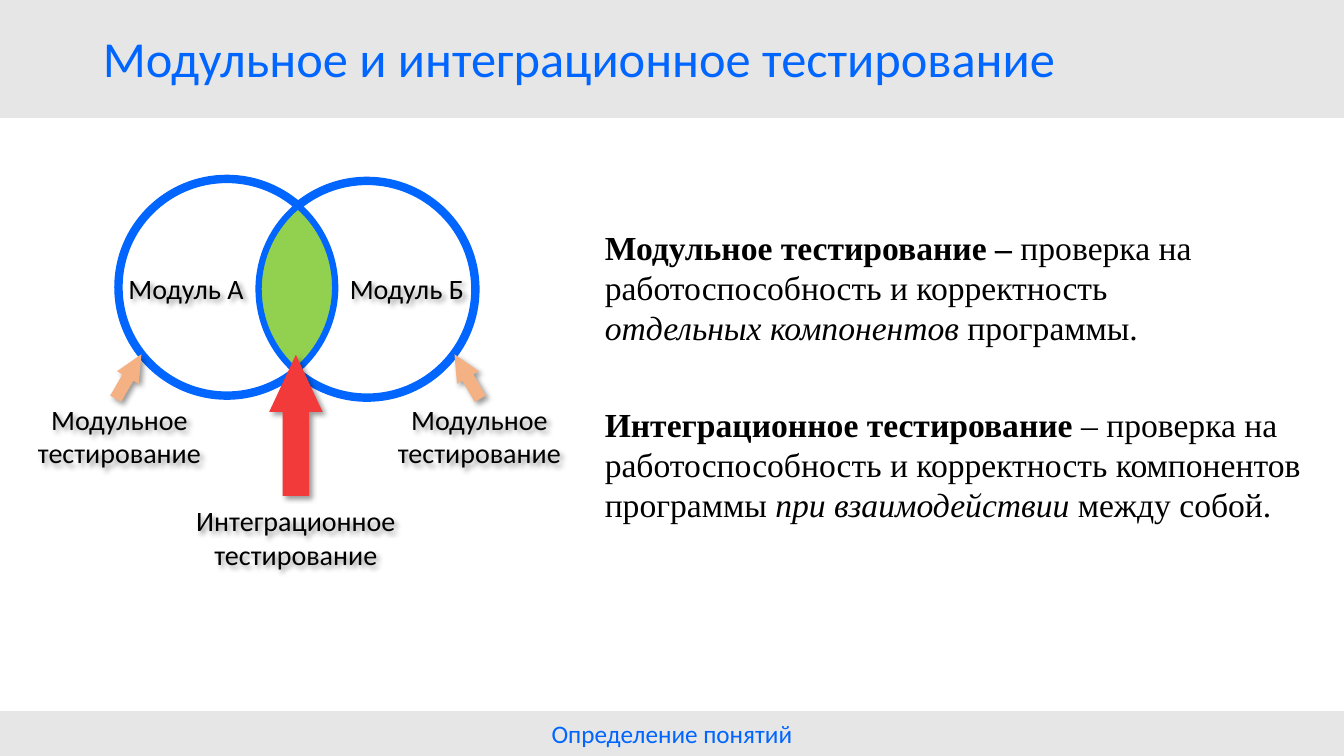
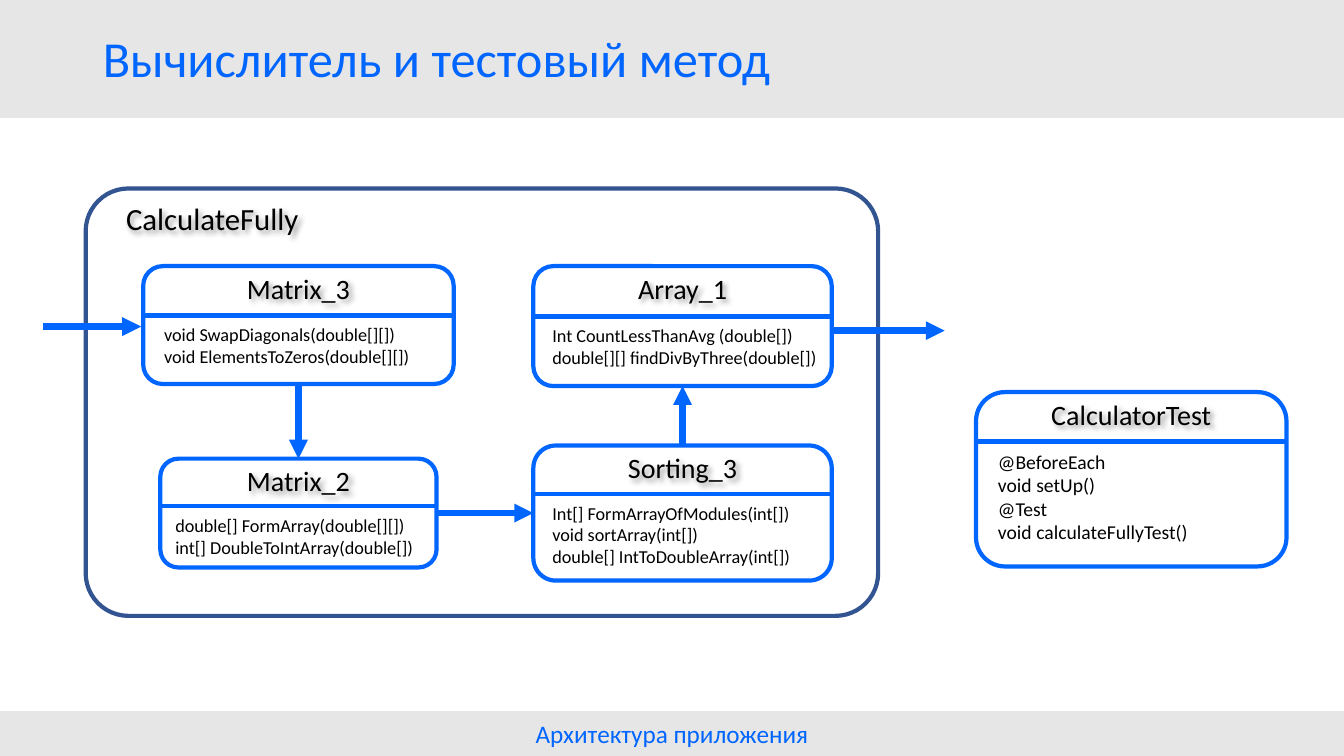
import math
from lxml import etree
from pptx import Presentation
from pptx import util as u
from pptx.dml.color import RGBColor
from pptx.enum import shapes, text
from pptx.oxml import parse_xml
from pptx.oxml.ns import qn

BLUE, GREY, WHITE, BLACK = "0066FF", "E7E6E6", "FFFFFF", "000000"
NAVY, GREEN, RED, PEACH = "325491", "92D050", "F23A3A", "F4B183"
SANS, SERIF = "Calibri", "Times New Roman"
KIND = shapes.MSO_SHAPE
MID = text.PP_ALIGN.CENTER
NS = "http://schemas.openxmlformats.org/drawingml/2006/main"
SHADOW = (f'<a:effectLst xmlns:a="{NS}"><a:outerShdw blurRad="50800" dist="38100" '
          'dir="2700000" algn="tl" rotWithShape="0"><a:srgbClr val="000000">'
          '<a:alpha val="40000"/></a:srgbClr></a:outerShdw></a:effectLst>')


def px(n):
    """100 px to the inch."""
    return u.Emu(round(n * 9144))


def rgb(code):
    return RGBColor.from_string(code)


# Basic elements
def shade(shape):
    shape.shadow.inherit = False
    effect = shape.element.spPr.find(qn("a:effectLst"))
    effect.getparent().replace(effect, parse_xml(SHADOW))


def style(shape, fill, edge=None, width=1):
    shape.shadow.inherit = False
    shape.fill.solid()
    shape.fill.fore_color.rgb = rgb(fill)
    if edge:
        shape.line.color.rgb = rgb(edge)
        shape.line.width = u.Pt(width)
    else:
        shape.line.fill.background()


def block(slide, kind, x, y, w, h, fill, edge=None, width=1):
    shape = slide.shapes.add_shape(kind, px(x), px(y), px(w), px(h))
    style(shape, fill, edge, width)
    return shape


def add_run(para, words, size, color=BLACK, face=SANS):
    run = para.add_run()
    run.text = words
    run.font.size = u.Pt(size)
    run.font.color.rgb = rgb(color)
    run.font.name = face
    return run


def text_box(slide, x, y, w, h):
    box = slide.shapes.add_textbox(px(x), px(y), px(w), px(h))
    box.text_frame.word_wrap = True
    return box


def label(slide, words, x, y, w, h, size=20):
    box = text_box(slide, x, y, w, h)
    shade(box)
    para = box.text_frame.paragraphs[0]
    para.alignment = MID
    add_run(para, words, size)


def line(slide, start, end, width, head=False):
    ends = [px(n) for n in (*start, *end)]
    con = slide.shapes.add_connector(shapes.MSO_CONNECTOR.STRAIGHT, *ends)
    con.line.color.rgb = rgb(BLUE)
    con.line.width = u.Pt(width)
    if head:
        con.element.spPr.find(qn("a:ln")).append(
            parse_xml(f'<a:tailEnd xmlns:a="{NS}" type="triangle"/>'))
    con.element.spPr.append(parse_xml(f'<a:effectLst xmlns:a="{NS}"/>'))
    return con


def link(slide, source, out, target, into):
    con = line(slide, (0, 0), (0, 0), 4.5, True)
    con.begin_connect(source, out)
    con.end_connect(target, into)


# Shared frame: bands, title, footer
def page(deck, title, footer):
    slide = deck.slides.add_slide(deck.slide_layouts[5])
    block(slide, KIND.RECTANGLE, 0, 0, 1333, 116, GREY, GREY)
    head = slide.shapes.title
    slide.shapes.element.append(head.element)  # bring above the band
    head.left, head.top, head.width, head.height = px(92), px(2), px(1150), px(117)
    head.text_frame.vertical_anchor = text.MSO_ANCHOR.MIDDLE
    para = head.text_frame.paragraphs[0]
    para.alignment = text.PP_ALIGN.LEFT
    para.line_spacing = 0.9
    add_run(para, title, 36, BLUE)
    foot = block(slide, KIND.RECTANGLE, 0, 706, 1333, 44, GREY, GREY)
    foot.text_frame.vertical_anchor = text.MSO_ANCHOR.MIDDLE
    para = foot.text_frame.paragraphs[0]
    para.alignment = MID
    add_run(para, footer, 18, BLUE)
    return slide


# Overlapping circles
def arc(center, radius, start, end):
    """Curve points of an arc, split at quarter turns."""
    def spot(turn, push=0):
        cos, sin = math.cos(turn), math.sin(turn)
        return (px(center[0] + radius * (cos - push * sin)),
                px(center[1] + radius * (sin + push * cos)))

    quarter = math.pi / 2
    cuts = range(math.ceil(start / quarter), math.ceil(end / quarter))
    turns = [start, *(n * quarter for n in cuts), end]
    points = [spot(start)]
    for a, b in zip(turns, turns[1:]):
        push = 4 / 3 * math.tan((b - a) / 4)
        points += [spot(a, push), spot(b, -push), spot(b)]
    return points


def outline(slide, first, second, fill, width):
    form = slide.shapes.build_freeform(*first[0])
    form.add_line_segments(first[1:] + second[1:], close=True)
    shape = form.convert_to_shape()
    style(shape, fill, BLUE, width)
    # Every three points make one curve
    steps = list(shape.element.iter(qn("a:lnTo")))
    for i in range(0, len(steps) - 2, 3):
        curve = etree.Element(qn("a:cubicBezTo"))
        steps[i].addprevious(curve)
        for step in steps[i:i + 3]:
            curve.append(step[0])
            step.getparent().remove(step)


def venn(slide, a, b, radius):
    tilt = math.atan2(b[1] - a[1], b[0] - a[0])
    half = math.acos(math.dist(a, b) / 2 / radius)
    full, back = 2 * math.pi, tilt + math.pi
    outline(slide, arc(a, radius, tilt + half, tilt + full - half),
            arc(b, radius, back + half, back + full - half), WHITE, 6)
    outline(slide, arc(a, radius, tilt - half, tilt + half),
            arc(b, radius, back - half, back + half), GREEN, 4.5)


def pointer(slide, x, y, w, h, fill, turn=0):
    shape = block(slide, KIND.UP_ARROW, x, y, w, h, fill)
    shade(shape)
    shape.adjustments[0], shape.adjustments[1] = 0.5, 1.07
    shape.rotation = turn


def define(para, parts):
    for words, look in parts:
        run = add_run(para, words, 24, face=SERIF)
        run.font.bold = look == "b"
        run.font.italic = look == "i"
        if look == "br":
            para.add_line_break()


# Class card: name, divider, methods
def card(slide, x, y, w, h, name, rows, head=49, inset=9, size=13):
    box = block(slide, KIND.ROUNDED_RECTANGLE, x, y, w, h, WHITE, BLUE, 3)
    label(slide, name, x, y, w, 44)
    frame = text_box(slide, x + inset, y + head + 3, 310, h - head - 8).text_frame
    for i, row in enumerate(rows):
        para = frame.add_paragraph() if i else frame.paragraphs[0]
        add_run(para, row, size)
    line(slide, (x, y + head), (x + w, y + head), 3)
    return box


def terms(deck):
    slide = page(deck, "Модульное и интеграционное тестирование", "Определение понятий")
    frame = text_box(slide, 590, 220, 743, 310).text_frame
    first = frame.paragraphs[0]
    first.space_after = u.Pt(40)
    define(first, [("Модульное тестирование – ", "b"),
                   ("проверка на работоспособность и корректность ", "br"),
                   ("отдельных компонентов", "i"), (" программы.", "")])
    define(frame.add_paragraph(), [
        ("Интеграционное тестирование", "b"),
        (" – проверка на работоспособность и корректность компонентов программы ", ""),
        ("при взаимодействии ", "i"), ("между собой.", "")])

    venn(slide, (225, 285), (364, 287), 107.5)
    for name, x in (("Модуль А", 117), ("Модуль Б", 336)):
        label(slide, name, x, 264, 135, 44)
    pointer(slide, 267, 352, 53, 140, RED)
    label(slide, "Интеграционное тестирование", 162, 495, 263, 77)
    for x, tip, turn in ((-13, 115, 30), (344, 451, 330)):
        label(slide, "Модульное тестирование", x, 394, 263, 77)
        pointer(slide, tip, 348, 25, 51, PEACH, turn)


def design(deck):
    slide = page(deck, "Вычислитель и тестовый метод", "Архитектура приложения")
    group = block(slide, KIND.ROUNDED_RECTANGLE, 85, 187, 786, 424, WHITE, NAVY, 3)
    group.adjustments[0] = 0.1
    label(slide, "CalculateFully", 81, 193, 259, 52, 22)

    sort = card(slide, 529, 442, 296, 134, "Sorting_3",
                ["Int[] FormArrayOfModules(int[])", "void sortArray(int[])",
                 "double[] IntToDoubleArray(int[])"], 48)
    swap = card(slide, 142, 264, 308, 117, "Matrix_3",
                ["void SwapDiagonals(double[][])", "void ElementsToZeros(double[][])"],
                inset=11)
    form = card(slide, 159, 455, 274, 108, "Matrix_2",
                ["double[] FormArray(double[][])", "int[] DoubleToIntArray(double[])"],
                47, 5)
    count = card(slide, 529, 264, 296, 119, "Array_1",
                 ["Int CountLessThanAvg (double[])",
                  "double[][] findDivByThree(double[])"], 50)
    card(slide, 968, 389, 308, 173, "CalculatorTest",
         ["@BeforeEach", "void setUp()", "@Test", "void calculateFullyTest()"],
         inset=12, size=14)

    # Flow of data
    link(slide, swap, 2, form, 0)
    link(slide, form, 3, sort, 1)
    link(slide, sort, 0, count, 2)
    line(slide, (43, 324), (140, 324), 4.5, True)
    line(slide, (825, 328), (937, 328), 4.5, True)


def main():
    deck = Presentation()
    deck.slide_width, deck.slide_height = px(1333), px(750)
    terms(deck)
    design(deck)
    deck.save("out.pptx")


if __name__ == "__main__":
    main()
